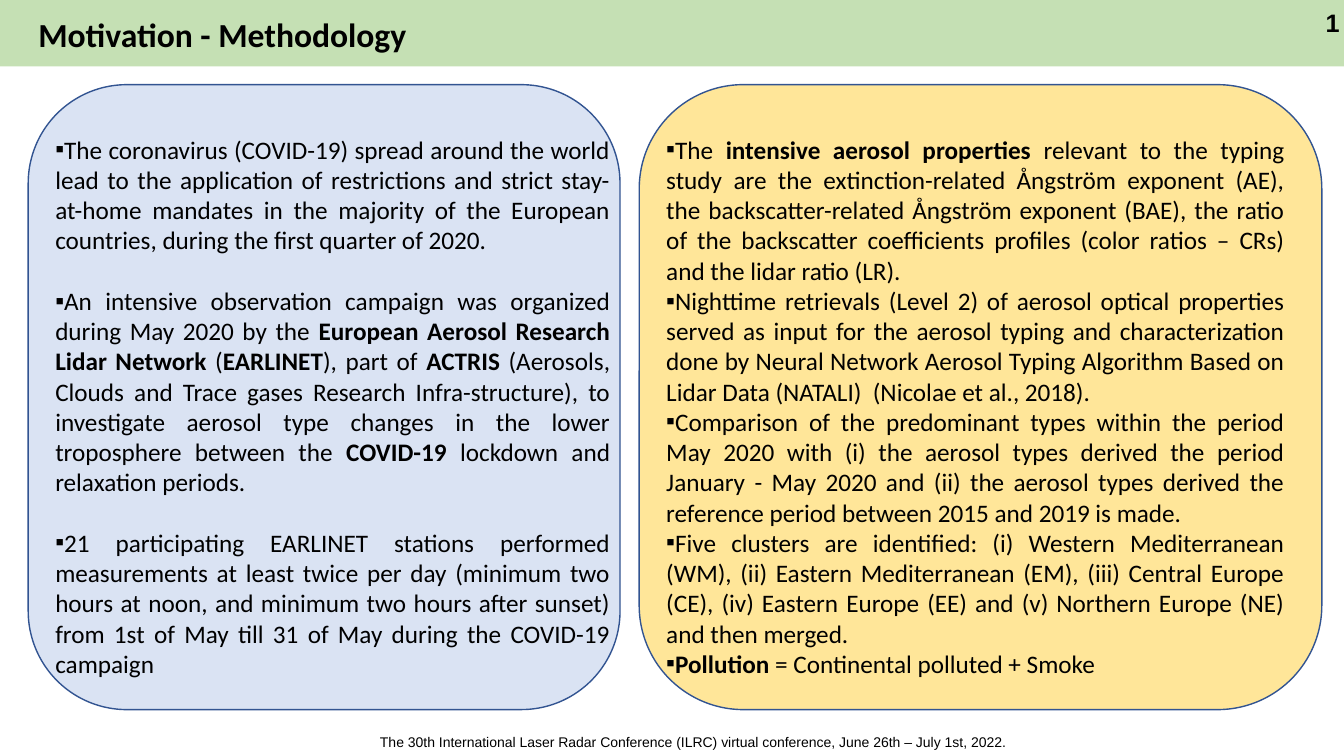
from dataclasses import dataclass

import lxml.etree
import pptx
import pptx.dml.color
import pptx.enum.shapes
import pptx.enum.text
import pptx.oxml.ns
import pptx.util

Inches = pptx.util.Inches
Pt = pptx.util.Pt
MSO_SHAPE = pptx.enum.shapes.MSO_SHAPE
PP_ALIGN = pptx.enum.text.PP_ALIGN
MSO_AUTO_SIZE = pptx.enum.text.MSO_AUTO_SIZE

BODY_FONT = "Calibri"
SMALL_FONT = "Arial"
BODY_SIZE = 18
BLACK = "000000"
PANEL_LINE = "325491"
PANEL_TOP, PANEL_HEIGHT = 0.84, 6.2
PANEL_TEXT_TOP = 1.28


@dataclass
class Box:
    left: float
    top: float
    width: float
    height: float

    def lengths(self) -> tuple:
        return tuple(Inches(v) for v in (self.left, self.top, self.width, self.height))


@dataclass
class Panel:
    left: float
    width: float
    fill: str
    text_box: Box
    gap: float  # points between bullet items
    items: list[str]  # **...** marks bold words


PANELS = [
    Panel(6.34, 6.77, "FFE699", Box(6.51, PANEL_TEXT_TOP, 6.33, 5.55), 0, [
        "The **intensive aerosol properties** relevant to the typing study are the "
        "extinction-related Ångström exponent (AE), the backscatter-related Ångström "
        "exponent (BAE), the ratio of the backscatter coefficients profiles (color "
        "ratios – CRs) and the lidar ratio (LR). ",
        "Nighttime retrievals (Level 2) of aerosol optical properties served as input "
        "for the aerosol typing and characterization done by Neural Network Aerosol "
        "Typing Algorithm Based on Lidar Data (NATALI)  (Nicolae et al., 2018). ",
        "Comparison of the predominant types within the period May 2020 with (i) the "
        "aerosol types derived the period January - May 2020 and (ii) the aerosol types "
        "derived the reference period between 2015 and 2019 is made.",
        "Five clusters are identified: (i) Western Mediterranean (WM), (ii) Eastern "
        "Mediterranean (EM), (iii) Central Europe (CE), (iv) Eastern Europe (EE) and "
        "(v) Northern Europe (NE) and then merged. ",
        "**Pollution** = Continental polluted + Smoke",
    ]),
    Panel(0.28, 5.87, "DAE3F3", Box(0.45, PANEL_TEXT_TOP, 5.7, 5.55), 21.6, [
        "The coronavirus (COVID-19) spread around the world lead to the application of "
        "restrictions and strict stay-at-home mandates in the majority of the European "
        "countries, during the first quarter of 2020. ",
        "An intensive observation campaign was organized during May 2020 by the "
        "**European Aerosol Research Lidar Network** (**EARLINET**), part of **ACTRIS** "
        "(Aerosols, Clouds and Trace gases Research Infra-structure), to investigate "
        "aerosol type changes in the lower troposphere between the **COVID-19 **"
        "lockdown and relaxation periods.",
        "21 participating EARLINET stations performed measurements at least twice per "
        "day (minimum two hours at noon, and minimum two hours after sunset) from 1st "
        "of May till 31 of May during the COVID-19 campaign ",
    ]),
]


def rgb(hex_color: str) -> pptx.dml.color.RGBColor:
    return pptx.dml.color.RGBColor.from_string(hex_color)


def style(run, font: str, size: float, bold: bool = False) -> None:
    run.font.name = font
    run.font.size = Pt(size)
    run.font.bold = bold
    run.font.color.rgb = rgb(BLACK)


def add_block(slide, kind, box: Box, fill: str, line: str | None = None):
    block = slide.shapes.add_shape(kind, *box.lengths())
    block.shadow.inherit = False
    block.fill.solid()
    block.fill.fore_color.rgb = rgb(fill)
    if line:
        block.line.color.rgb = rgb(line)
        block.line.width = Pt(1)
    else:
        block.line.fill.background()
    return block


def add_label(slide, box: Box, text: str, size: float, bold: bool = False) -> None:
    frame = slide.shapes.add_textbox(*box.lengths()).text_frame
    frame.word_wrap = True
    frame.text = text
    style(frame.paragraphs[0].runs[0], SMALL_FONT, size, bold)


def add_bullet(paragraph, mark: str) -> None:
    properties = paragraph._p.get_or_add_pPr()
    properties.set("marL", "0")
    properties.set("indent", "0")
    for tag, name, value in (("a:buFont", "typeface", SMALL_FONT), ("a:buChar", "char", mark)):
        lxml.etree.SubElement(properties, pptx.oxml.ns.qn(tag)).set(name, value)


def add_panel(slide, panel: Panel) -> None:
    outline = Box(panel.left, PANEL_TOP, panel.width, PANEL_HEIGHT)
    add_block(slide, MSO_SHAPE.ROUNDED_RECTANGLE, outline, panel.fill, PANEL_LINE)
    frame = slide.shapes.add_textbox(*panel.text_box.lengths()).text_frame
    frame.word_wrap = True
    for index, item in enumerate(panel.items):
        paragraph = frame.add_paragraph() if index else frame.paragraphs[0]
        paragraph.alignment = PP_ALIGN.JUSTIFY
        paragraph.space_before = Pt(panel.gap if index else 0)
        add_bullet(paragraph, "▪")
        for part, words in enumerate(item.split("**")):
            if words:
                run = paragraph.add_run()
                run.text = words
                style(run, BODY_FONT, BODY_SIZE, part % 2 == 1)


def add_heading(slide, text: str) -> None:
    heading = slide.shapes.title
    heading.left, heading.top, heading.width, heading.height = Box(0.28, 0.07, 11.5, 0.59).lengths()
    frame = heading.text_frame
    frame.text = text
    frame.auto_size = MSO_AUTO_SIZE.NONE
    frame.vertical_anchor = pptx.enum.text.MSO_ANCHOR.MIDDLE
    paragraph = frame.paragraphs[0]
    paragraph.alignment = PP_ALIGN.LEFT
    paragraph.line_spacing = 0.9
    style(paragraph.runs[0], BODY_FONT, 24, True)
    # The band lies behind the heading
    band = add_block(slide, MSO_SHAPE.RECTANGLE, Box(0, 0, 13.33, 0.66), "C5E0B4")
    heading.element.addprevious(band.element)


def main() -> None:
    deck = pptx.Presentation()
    deck.slide_width, deck.slide_height = Inches(13.33), Inches(7.5)
    slide = deck.slides.add_slide(deck.slide_layouts[5])

    # Header and footer
    add_heading(slide, "Motivation - Methodology")
    add_label(slide, Box(13.05, 0.02, 0.61, 0.4), "1", 18, True)
    add_label(slide, Box(3.67, 7.23, 7.78, 0.27),
              "The 30th International Laser Radar Conference (ILRC) virtual conference, "
              "June 26th – July 1st, 2022.", 10)

    # Methodology and motivation panels
    for panel in PANELS:
        add_panel(slide, panel)

    deck.save("out.pptx")


if __name__ == "__main__":
    main()
